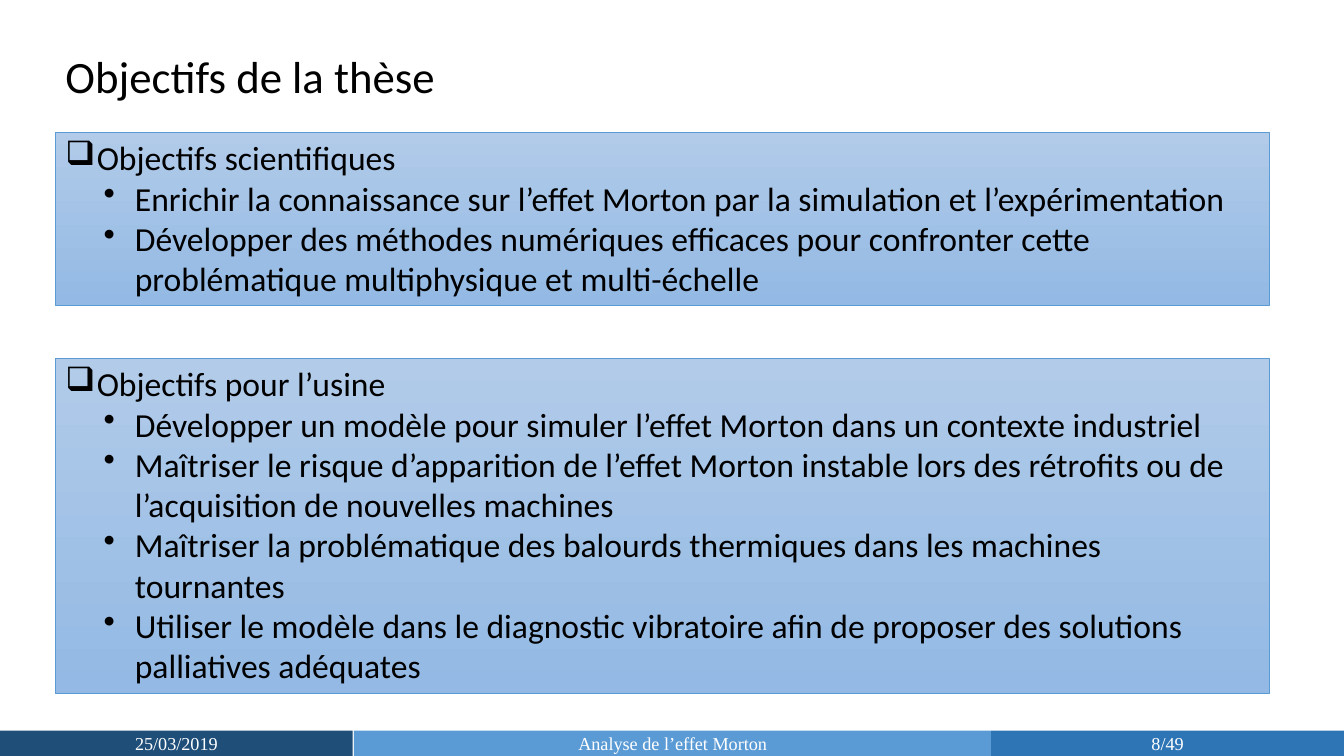
from lxml import etree
from pptx import Presentation
from pptx.dml.color import RGBColor
from pptx.enum.shapes import MSO_SHAPE
from pptx.enum.text import MSO_ANCHOR, MSO_AUTO_SIZE, PP_ALIGN
from pptx.oxml.ns import qn
from pptx.util import Cm, Pt

RECT = MSO_SHAPE.RECTANGLE
TOP, MIDDLE = MSO_ANCHOR.TOP, MSO_ANCHOR.MIDDLE
LEFT, CENTER = PP_ALIGN.LEFT, PP_ALIGN.CENTER

BLACK = RGBColor(0x00, 0x00, 0x00)
WHITE = RGBColor(0xFF, 0xFF, 0xFF)
NAVY = RGBColor(0x1F, 0x4E, 0x79)
BLUE = RGBColor(0x5B, 0x9B, 0xD5)
MID_BLUE = RGBColor(0x2E, 0x75, 0xB6)
PANEL_TOP = RGBColor(0xB1, 0xCB, 0xE9)
PANEL_BOTTOM = RGBColor(0x93, 0xB9, 0xE4)

# Lengths in centimetres
SLIDE_W, SLIDE_H = 33.87, 19.05
MARGIN, PANEL_W = 1.4, 30.58
FOOTER_H = 0.64
HANGING = 0.79
BULLETS = [("❑", 0.79), ("•", 1.75)]  # character and left margin by level

TITLE = "Objectifs de la thèse"
PANELS = [  # top, height, heading, points
    (3.33, 4.37, "Objectifs scientifiques", [
        "Enrichir la connaissance sur l’effet Morton par la simulation et l’expérimentation",
        "Développer des méthodes numériques efficaces pour confronter cette "
        "problématique multiphysique et multi-échelle",
    ]),
    (9.02, 8.46, "Objectifs pour l’usine", [
        "Développer un modèle pour simuler l’effet Morton dans un contexte industriel",
        "Maîtriser le risque d’apparition de l’effet Morton instable lors des rétrofits "
        "ou de l’acquisition de nouvelles machines",
        "Maîtriser la problématique des balourds thermiques dans les machines tournantes",
        "Utiliser le modèle dans le diagnostic vibratoire afin de proposer des solutions "
        "palliatives adéquates",
    ]),
]
FOOTER = [  # left, width, colour, text
    (0, 8.89, NAVY, "25/03/2019"),
    (8.92, 16.06, BLUE, "Analyse de l’effet Morton"),
    (24.98, 8.89, MID_BLUE, "8/49"),
]


def set_frame(tf, anchor, inset_y):
    tf.word_wrap = True
    tf.auto_size = MSO_AUTO_SIZE.NONE
    tf.vertical_anchor = anchor
    tf.margin_left = tf.margin_right = Cm(0.25)
    tf.margin_top = tf.margin_bottom = Cm(inset_y)


def write(p, text, size, font="Calibri", color=BLACK, align=LEFT, level=None):
    """Fill a paragraph; a level adds its bullet and hanging indent."""
    p.alignment = align
    if level is not None:
        char, margin = BULLETS[level]
        p.level = level
        pPr = p._p.get_or_add_pPr()
        pPr.set("marL", str(Cm(margin)))
        pPr.set("indent", str(-Cm(HANGING)))
        etree.SubElement(pPr, qn("a:buChar")).set("char", char)
    r = p.add_run()
    r.text = text
    r.font.size, r.font.name = Pt(size), font
    r.font.color.rgb = color


def add_rect(s, left, top, width, height):
    sp = s.shapes.add_shape(RECT, Cm(left), Cm(top), Cm(width), Cm(height))
    sp.shadow.inherit = False
    return sp


def add_panel(s, top, height, heading, points):
    sp = add_rect(s, MARGIN, top, PANEL_W, height)
    sp.fill.gradient()
    sp.fill.gradient_angle = 270
    for stop, color in zip(sp.fill.gradient_stops, (PANEL_TOP, PANEL_BOTTOM)):
        stop.color.rgb = color
    sp.line.color.rgb = BLUE
    sp.line.width = Pt(0.5)
    tf = sp.text_frame
    set_frame(tf, TOP, 0.13)
    write(tf.paragraphs[0], heading, 24, level=0)
    for point in points:
        write(tf.add_paragraph(), point, 24, level=1)


def add_footer_part(s, left, width, color, text):
    sp = add_rect(s, left, SLIDE_H - FOOTER_H, width, FOOTER_H)
    sp.fill.solid()
    sp.fill.fore_color.rgb = color
    sp.line.fill.background()
    set_frame(sp.text_frame, MIDDLE, 0)
    write(sp.text_frame.paragraphs[0], text, 13, font="Times New Roman",
          color=WHITE, align=CENTER)


def main():
    prs = Presentation()
    prs.slide_width, prs.slide_height = Cm(SLIDE_W), Cm(SLIDE_H)
    s = prs.slides.add_slide(prs.slide_layouts[5])

    title = s.shapes.title
    title.left, title.top = Cm(MARGIN), Cm(1.09)
    title.width, title.height = Cm(24.38), Cm(1.63)
    set_frame(title.text_frame, TOP, 0.13)
    write(title.text_frame.paragraphs[0], TITLE, 32)

    for panel in PANELS:
        add_panel(s, *panel)
    for part in FOOTER:
        add_footer_part(s, *part)
    prs.save("out.pptx")


if __name__ == "__main__":
    main()
